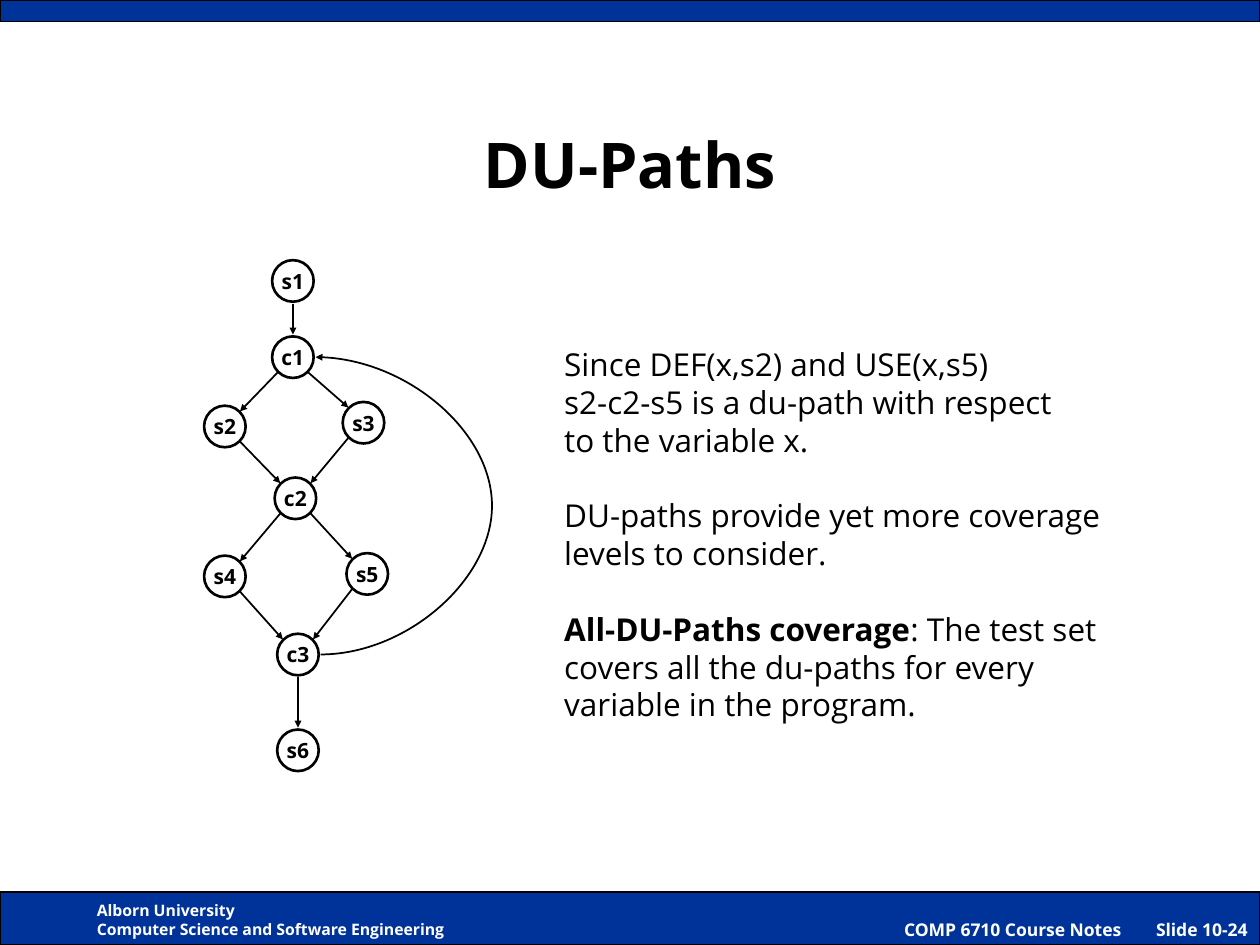
from dataclasses import dataclass

from lxml.etree import SubElement
from pptx import Presentation
from pptx.dml.color import RGBColor
from pptx.enum.shapes import MSO_CONNECTOR, MSO_SHAPE
from pptx.enum.text import MSO_ANCHOR, PP_ALIGN
from pptx.oxml.ns import qn
from pptx.util import Inches, Pt


@dataclass(frozen=True)
class Theme:
    """Colours, font and type sizes of the slide."""
    font: str = "Open Sans"
    ink: RGBColor = RGBColor(0, 0, 0)
    paper: RGBColor = RGBColor(255, 255, 255)
    band: RGBColor = RGBColor(0, 0x33, 0x99)
    title: float = 36
    body: float = 18
    node: float = 12
    course: float = 10
    school: float = 9
    leading: float = 1.2


def write(frame, paragraphs, *, size, color, font, bold=False, align=PP_ALIGN.LEFT,
          anchor=MSO_ANCHOR.TOP, leading=None, gap=0, margins=(0.1, 0.05, 0.1, 0.05)):
    """Fill a frame with paragraphs of (text, bold) pieces or plain strings."""
    frame.word_wrap = True
    frame.vertical_anchor = anchor
    (frame.margin_left, frame.margin_top,
     frame.margin_right, frame.margin_bottom) = map(Inches, margins)
    for index, pieces in enumerate(paragraphs):
        paragraph = frame.add_paragraph() if index else frame.paragraphs[0]
        paragraph.alignment = align
        if leading:
            paragraph.line_spacing = Pt(leading)
        if index:
            paragraph.space_before = Pt(gap)
        for text, heavy in [(pieces, bold)] if isinstance(pieces, str) else pieces:
            for number, line in enumerate(text.split("\n")):
                if number:
                    paragraph.add_line_break()
                run = paragraph.add_run()
                run.text = line
                run.font.name = font
                run.font.size = Pt(size)
                run.font.bold = heavy
                run.font.color.rgb = color


class Canvas:
    """Holds the theme and the current slide."""

    def __init__(self, slide, theme):
        """Keep the slide and its theme."""
        self.slide = slide
        self.theme = theme

    def title(self, text, box):
        """Place the title placeholder."""
        heading = self.slide.shapes.title
        heading.left, heading.top, heading.width, heading.height = map(Inches, box)
        write(heading.text_frame, [text], size=self.theme.title, color=self.theme.ink,
              font=self.theme.font, bold=True, align=PP_ALIGN.CENTER,
              anchor=MSO_ANCHOR.MIDDLE)

    def shape(self, shapes, preset, box, fill, weight):
        """Draw an outlined preset shape."""
        outline = shapes.add_shape(preset, *map(Inches, box))
        outline.shadow.inherit = False
        outline.fill.solid()
        outline.fill.fore_color.rgb = fill
        outline.line.color.rgb = self.theme.ink
        outline.line.width = Pt(weight)
        return outline

    def band(self, box):
        """Draw a full-width band."""
        return self.shape(self.slide.shapes, MSO_SHAPE.RECTANGLE, box, self.theme.band, 0.75)

    def text(self, paragraphs, box, **style):
        """Place a text box."""
        area = self.slide.shapes.add_textbox(*map(Inches, box))
        write(area.text_frame, paragraphs, font=self.theme.font, **style)

    def node(self, group, label, center):
        """Draw a labelled circle around its centre."""
        size = 0.33
        x, y = center
        circle = self.shape(group.shapes, MSO_SHAPE.OVAL,
                            (x - size / 2, y - size / 2, size, size), self.theme.paper, 1.5)
        write(circle.text_frame, [label], size=self.theme.node, color=self.theme.ink,
              font=self.theme.font, bold=True, align=PP_ALIGN.CENTER,
              anchor=MSO_ANCHOR.MIDDLE, margins=(0, 0, 0, 0))

    def arrow(self, group, start, end, bulge_to=None):
        """Draw an arrow, curved out to an x position if one is given."""
        kind = MSO_CONNECTOR.CURVE if bulge_to else MSO_CONNECTOR.STRAIGHT
        link = group.shapes.add_connector(kind, *map(Inches, (*start, *end)))
        link.line.color.rgb = self.theme.ink
        link.line.width = Pt(1)
        properties = link._element.spPr
        SubElement(properties.find(qn("a:ln")), qn("a:tailEnd"), type="triangle",
                   w="sm", len="sm")
        SubElement(properties, qn("a:effectLst"))
        if bulge_to:
            bend = (bulge_to - start[0]) / (end[0] - start[0])
            geometry = properties.find(qn("a:prstGeom"))
            adjustments = geometry.find(qn("a:avLst"))
            if adjustments is None:
                adjustments = SubElement(geometry, qn("a:avLst"))
            SubElement(adjustments, qn("a:gd"), name="adj1", fmla=f"val {round(bend * 100000)}")


def port(center, across, down):
    """Return the point just outside a circle in one of eight directions."""
    reach = 0.12 if across and down else 0.18
    return center[0] + across * reach, center[1] + down * reach


def sign(value):
    """Return the direction of a step, ignoring tiny offsets."""
    return 0 if abs(value) < 0.1 else 1 if value > 0 else -1


CENTERS = {
    "s1": (2.325, 2.23), "c1": (2.325, 2.835), "s2": (1.785, 3.385),
    "s3": (2.885, 3.355), "c2": (2.345, 3.955), "s4": (1.785, 4.575),
    "s5": (2.915, 4.555), "c3": (2.365, 5.195), "s6": (2.365, 5.955),
}
EDGES = ("s1 c1", "c1 s2", "c1 s3", "s2 c2", "s3 c2", "c2 s4", "c2 s5",
         "s4 c3", "s5 c3", "c3 s6")
EXPLANATION = (
    "Since DEF(x,s2) and USE(x,s5)\ns2-c2-s5 is a du-path with respect\nto the variable x.",
    "DU-paths provide yet more coverage\nlevels to consider.",
    (("All-DU-Paths coverage", True),
     (": The test set\ncovers all the du-paths for every\nvariable in the program.", False)),
)

theme = Theme()
presentation = Presentation()
presentation.slide_width, presentation.slide_height = Inches(10), Inches(7.5)
canvas = Canvas(presentation.slides.add_slide(presentation.slide_layouts[5]), theme)

footer = canvas.band((0, 7.08, 10, 0.42))
write(footer.text_frame, ["COMP 6710 Course Notes\tSlide 10-24"], size=theme.course,
      color=theme.paper, font=theme.font, bold=True, align=PP_ALIGN.RIGHT,
      anchor=MSO_ANCHOR.BOTTOM, leading=theme.course * theme.leading,
      margins=(0.1, 0.05, 0.1, 0.04))
canvas.text(["Alborn University", "Computer Science and Software Engineering"],
            (0.67, 7.1, 3.33, 0.4), size=theme.school, color=theme.paper, bold=True,
            leading=theme.school * theme.leading)
canvas.band((0, 0, 10, 0.17))
canvas.title("DU-Paths", (0.75, 0.67, 8.5, 1.25))

flow_graph = canvas.slide.shapes.add_group_shape()
for label, center in CENTERS.items():
    canvas.node(flow_graph, label, center)
for edge in EDGES:
    source, target = (CENTERS[label] for label in edge.split())
    across = sign(target[0] - source[0])
    canvas.arrow(flow_graph, port(source, across, 1), port(target, -across, -1))
canvas.arrow(flow_graph, port(CENTERS["c3"], 1, 0), port(CENTERS["c1"], 1, 0), bulge_to=3.9)

body_leading = theme.body * theme.leading
canvas.text(EXPLANATION, (4.38, 2.67, 5.07, 3.1), size=theme.body, color=theme.ink,
            leading=body_leading, gap=body_leading, margins=(0.1, 0.07, 0.1, 0.03))

presentation.save("out.pptx")
